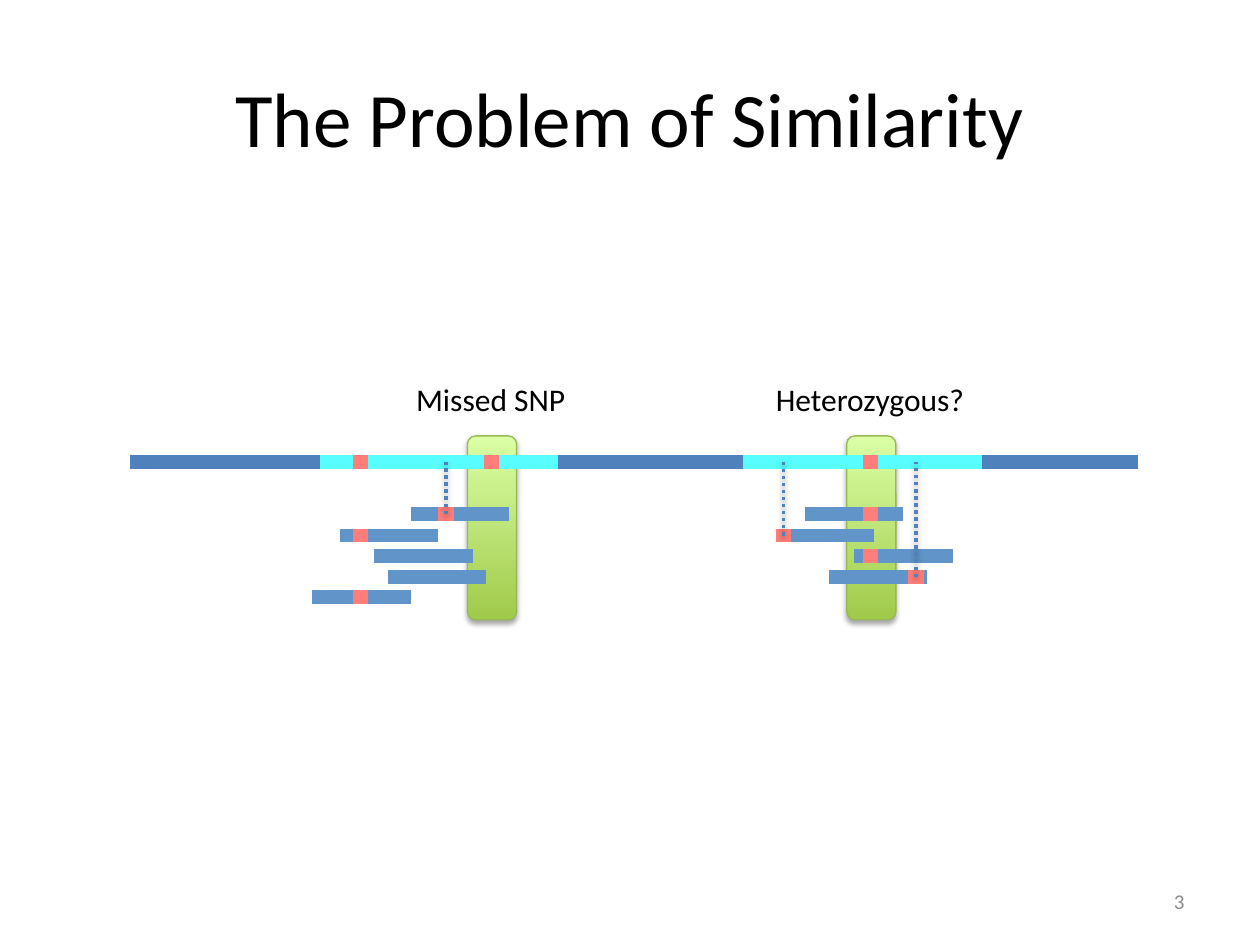
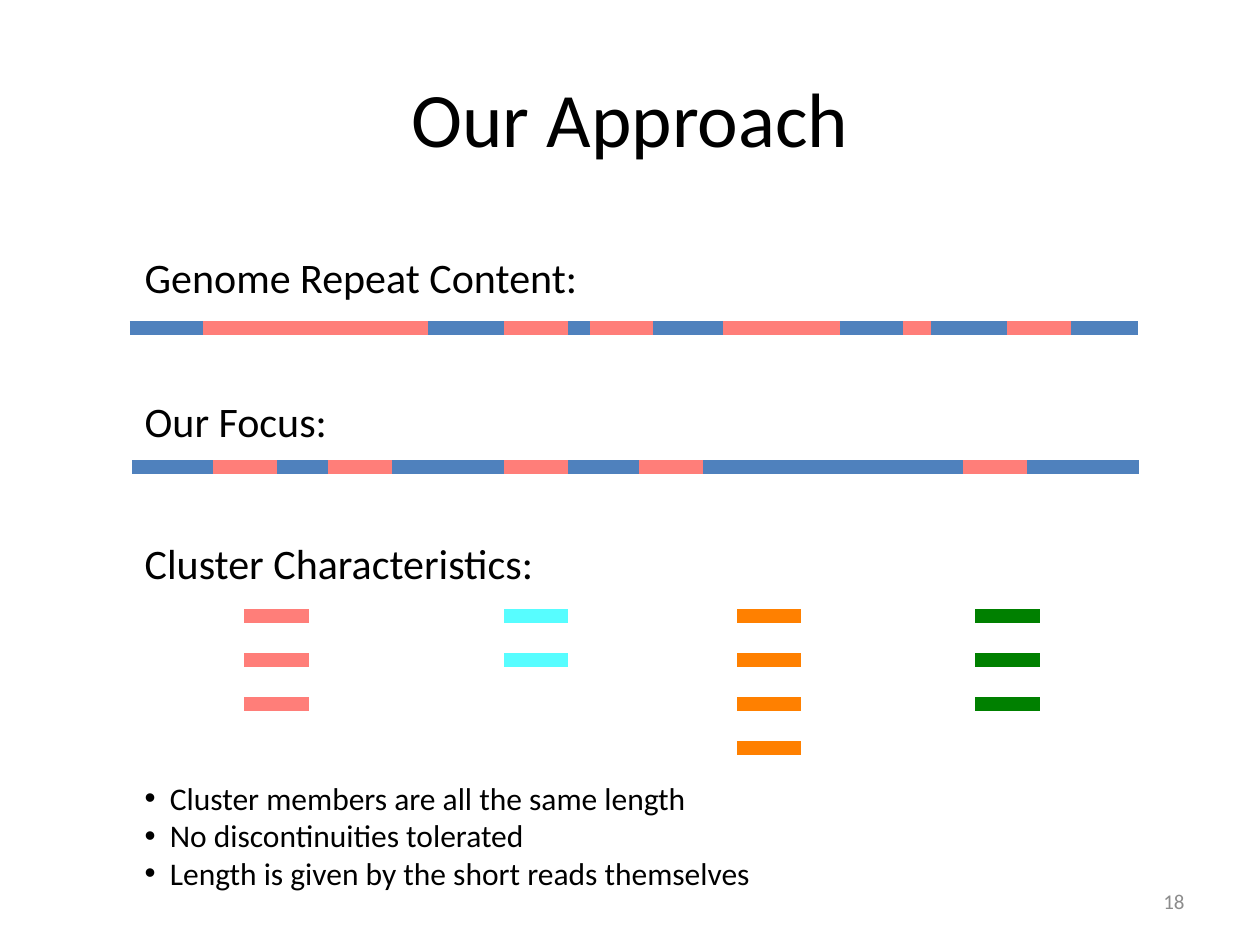
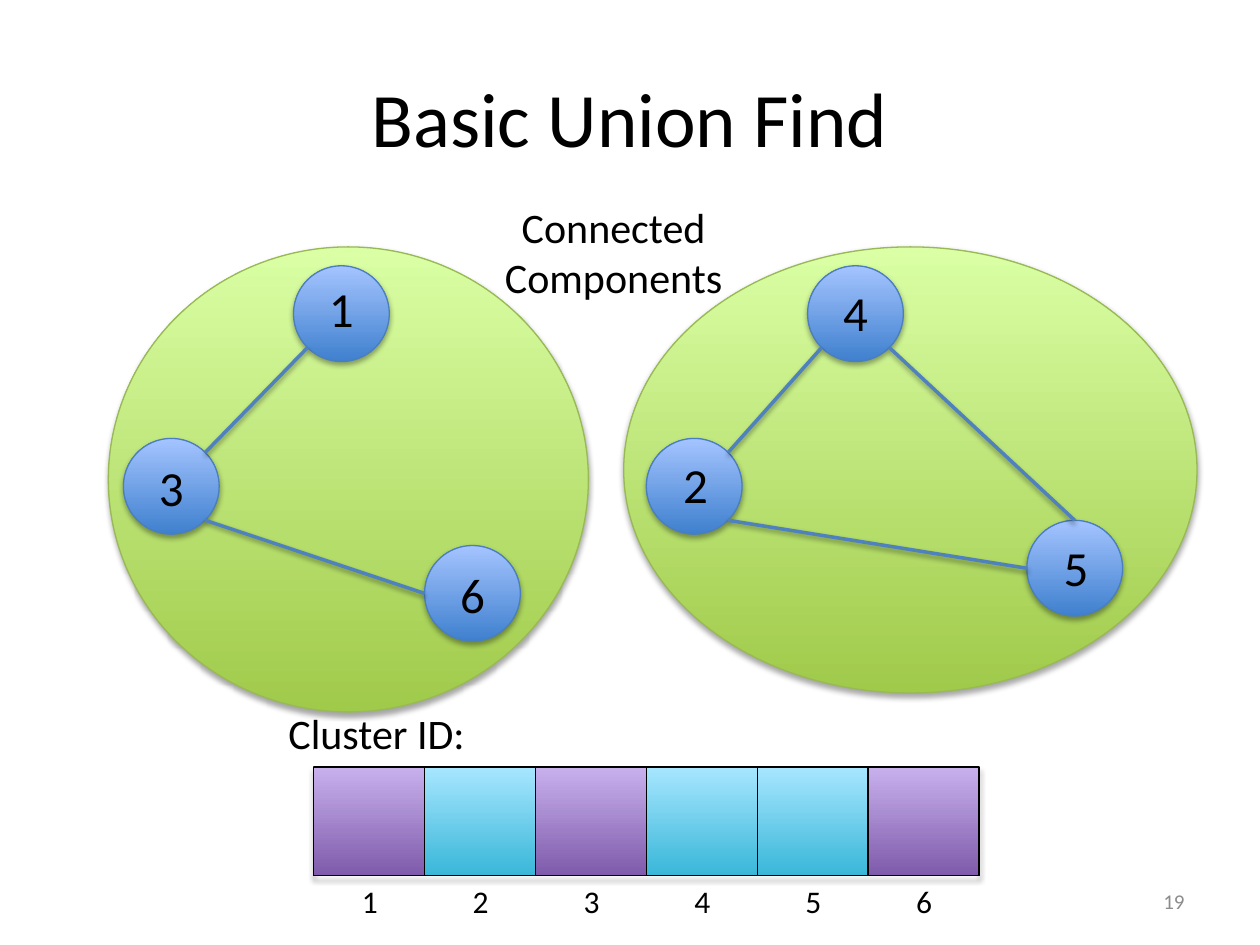
from lxml import etree
from pptx import Presentation
from pptx.dml.color import RGBColor
from pptx.enum.dml import MSO_LINE
from pptx.enum.shapes import MSO_CONNECTOR, MSO_SHAPE
from pptx.enum.text import MSO_ANCHOR, PP_ALIGN
from pptx.oxml.ns import qn
from pptx.util import Inches, Pt

STRAIGHT = MSO_CONNECTOR.STRAIGHT
ROUND_RECT, OVAL, RECT = MSO_SHAPE.ROUNDED_RECTANGLE, MSO_SHAPE.OVAL, MSO_SHAPE.RECTANGLE
DOTTED = MSO_LINE.ROUND_DOT
LEFT, CENTER, RIGHT = PP_ALIGN.LEFT, PP_ALIGN.CENTER, PP_ALIGN.RIGHT
TOP, MIDDLE = MSO_ANCHOR.TOP, MSO_ANCHOR.MIDDLE

FONT = "Calibri"
COLORS = {
    "text": "000000", "page": "8C8C8C", "genome": "4F81BD", "read": "6195C9",
    "repeat": "57FDFF", "variant": "FF7E79", "orange": "FF8000", "green": "008000",
    "region_edge": "98B955", "node_edge": "4B7EBC",
}
# Bottom and top colour of each gradient
GRADIENTS = {
    "region": ("A0CA4A", "DAFFA5"), "node": ("3F80CE", "A4C4FF"),
    "purple": ("7F5BAB", "C8B0ED"), "cyan": ("39B7D8", "A7E6FF"),
}
BAND = 8  # points, thickness of a sequence
SHAPE_SHADOW = (35, 1.8)  # opacity in percent, distance in points
LINE_SHADOW = (38, 1.6)


def add_text(slide, box, paragraphs, size, align=LEFT, color="text", anchor=TOP, bullet=False):
    frame = slide.shapes.add_textbox(*map(Inches, box)).text_frame
    frame.word_wrap = True
    frame.vertical_anchor = anchor
    for index, words in enumerate(paragraphs):
        paragraph = frame.paragraphs[0] if index == 0 else frame.add_paragraph()
        paragraph.alignment = align
        run = paragraph.add_run()
        run.text = words
        run.font.name = FONT
        run.font.size = Pt(size)
        run.font.color.rgb = RGBColor.from_string(COLORS[color])
        if bullet:
            properties = paragraph._p.get_or_add_pPr()
            properties.set("marL", str(Inches(0.2)))
            properties.set("indent", str(-Inches(0.2)))
            etree.SubElement(properties, qn("a:buFont"), typeface="Arial")
            etree.SubElement(properties, qn("a:buChar"), char="•")


def finish(item, edge, width, gradient=None, shadow=None):
    """Give a shape or connector its outline, gradient and shadow."""
    if gradient:
        item.fill.gradient()
        item.fill.gradient_angle = 90
        for stop, color in zip(item.fill.gradient_stops, GRADIENTS[gradient]):
            stop.color.rgb = RGBColor.from_string(color)
    item.line.color.rgb = RGBColor.from_string(COLORS[edge])
    item.line.width = Pt(width)
    effects = etree.SubElement(item._element.spPr, qn("a:effectLst"))
    if shadow:
        opacity, distance = shadow
        outer = etree.SubElement(effects, qn("a:outerShdw"), blurRad=str(Pt(3.1)),
                                 dist=str(Pt(distance)), dir="5400000", rotWithShape="0")
        black = etree.SubElement(outer, qn("a:srgbClr"), val="000000")
        etree.SubElement(black, qn("a:alpha"), val=str(opacity * 1000))


deck = Presentation()
deck.slide_width, deck.slide_height = Inches(10), Inches(7.5)
slides = []
for title, page in [("The Problem of Similarity", "3"), ("Our Approach", "18"),
                    ("Basic Union Find", "19")]:
    slide = deck.slides.add_slide(deck.slide_layouts[6])
    add_text(slide, (0.5, 0.3, 9, 1.25), [title], 44, CENTER, anchor=MIDDLE)
    add_text(slide, (7.17, 6.95, 2.33, 0.4), [page], 12, RIGHT, "page", MIDDLE)
    slides.append(slide)
similarity, approach, union_find = slides

# The Problem of Similarity
for left in (3.71, 6.72):
    region = similarity.shapes.add_shape(
        ROUND_RECT, Inches(left), Inches(3.46), Inches(0.39), Inches(1.46))
    finish(region, "region_edge", 0.75, "region", SHAPE_SHADOW)

genome_y = 3.67
rows = [4.08, 4.25, 4.41, 4.58, 4.74]
sequences = [
    ("genome", 8, [(1.03, genome_y)]),
    ("repeat", 1.89, [(2.54, genome_y), (5.9, genome_y)]),
    ("read", 0.78, [(3.26, rows[0]), (2.7, rows[1]), (2.97, rows[2]), (3.08, rows[3]),
                    (2.48, rows[4]), (6.39, rows[0]), (6.16, rows[1]), (6.78, rows[2]),
                    (6.58, rows[3])]),
    ("variant", 0.12, [(2.8, genome_y), (3.84, genome_y), (6.85, genome_y), (2.8, rows[1]),
                       (2.8, rows[4]), (3.48, rows[0]), (6.16, rows[1]), (6.85, rows[0]),
                       (6.85, rows[2]), (7.21, rows[3])]),
]
for color, length, starts in sequences:
    for x, y in starts:
        band = similarity.shapes.add_connector(
            STRAIGHT, Inches(x), Inches(y), Inches(x + length), Inches(y))
        finish(band, color, BAND)

for left, label in [(5.64, "Heterozygous?"), (2.63, "Missed SNP")]:
    add_text(similarity, (left, 2.97, 2.53, 0.4), [label], 18, CENTER)

for x, row in [(3.54, rows[0]), (6.22, rows[1]), (7.27, rows[3])]:
    mapping = similarity.shapes.add_connector(
        STRAIGHT, Inches(x), Inches(row), Inches(x), Inches(genome_y))
    finish(mapping, "genome", 2, shadow=LINE_SHADOW)
    mapping.line.dash_style = DOTTED

# Our Approach
member = 0.51
bands = [(1.03, 9.03, 2.6, "genome"), (1.05, 9.04, 3.71, "genome")]
bands += [(start, end, 2.6, "variant") for start, end in [
    (1.61, 3.4), (7.17, 7.39), (5.74, 6.67), (4, 4.51), (4.68, 5.18), (7.99, 8.5)]]
bands += [(x, x + member, 3.71, "variant") for x in (1.69, 2.6, 4, 5.07, 7.64)]
for x, count, color in [(1.94, 3, "variant"), (4, 2, "repeat"),
                        (5.85, 4, "orange"), (7.74, 3, "green")]:
    bands += [(x, x + member, 4.89 + 0.35 * row, color) for row in range(count)]
for start, end, y, color in bands:
    band = approach.shapes.add_connector(
        STRAIGHT, Inches(start), Inches(y), Inches(end), Inches(y))
    finish(band, color, BAND)

for top, heading in [(1.95, "Genome Repeat Content:"), (3.09, "Our Focus:"),
                     (4.22, "Cluster Characteristics:")]:
    add_text(approach, (1.05, top, 7.98, 0.5), [heading], 24)
add_text(approach, (1.05, 6.13, 7.98, 1.01), [
    "Cluster members are all the same length",
    "No discontinuities tolerated",
    "Length is given by the short reads themselves",
], 18, bullet=True)

# Basic Union Find
for box in [(4.95, 1.96, 4.55, 3.54), (0.86, 1.96, 3.81, 3.69)]:
    component = union_find.shapes.add_shape(OVAL, *map(Inches, box))
    finish(component, "region_edge", 0.75, "region", SHAPE_SHADOW)

diameter = 0.76
radius = diameter / 2
# Left and top of each node, then of its number
nodes = {
    "1": (2.33, 2.11, 2.28, 2.16), "2": (5.13, 3.48, 5.09, 3.56),
    "3": (0.98, 3.48, 0.93, 3.58), "4": (6.41, 2.11, 6.36, 2.19),
    "5": (8.15, 4.13, 8.11, 4.22), "6": (3.37, 4.33, 3.32, 4.43),
}
for left, top, _, _ in nodes.values():
    node = union_find.shapes.add_shape(
        OVAL, Inches(left), Inches(top), Inches(diameter), Inches(diameter))
    finish(node, "node_edge", 0.75, "node", SHAPE_SHADOW)

compass = {"N": (0, -1), "W": (-1, 0), "NE": (0.71, -0.71),
           "SE": (0.71, 0.71), "SW": (-0.71, 0.71)}
for *ends, in [(("1", "SW"), ("3", "NE")), (("3", "SE"), ("6", "W")),
               (("4", "SW"), ("2", "NE")), (("4", "SE"), ("5", "N")),
               (("2", "SE"), ("5", "W"))]:
    points = []
    for number, side in ends:
        left, top = nodes[number][:2]
        dx, dy = compass[side]
        points += [Inches(left + radius * (1 + dx)), Inches(top + radius * (1 + dy))]
    link = union_find.shapes.add_connector(STRAIGHT, *points)
    finish(link, "genome", 2, shadow=LINE_SHADOW)

for number, (_, _, left, top) in nodes.items():
    add_text(union_find, (left, top, 0.86, 0.57), [number], 28, CENTER)

cell = 0.88
cluster_ids = ["purple", "cyan", "purple", "cyan", "cyan", "purple"]
array = union_find.shapes.add_shape(
    RECT, Inches(2.49), Inches(6.09), Inches(cell * len(cluster_ids)), Inches(0.86))
array.fill.background()
finish(array, "text", 1, shadow=SHAPE_SHADOW)
for index, cluster in enumerate(cluster_ids):
    left = 2.49 + cell * index
    entry = union_find.shapes.add_shape(
        RECT, Inches(left), Inches(6.09), Inches(cell), Inches(0.86))
    finish(entry, "text", 0.75, cluster)
    add_text(union_find, (2.7 + cell * index, 6.95, 0.47, 0.41), [str(index + 1)], 18, CENTER)

add_text(union_find, (2.19, 5.57, 1.88, 0.5), ["Cluster ID:"], 24)
add_text(union_find, (3.55, 1.55, 2.64, 0.91), ["Connected Components"], 24, CENTER)

deck.save("out.pptx")
